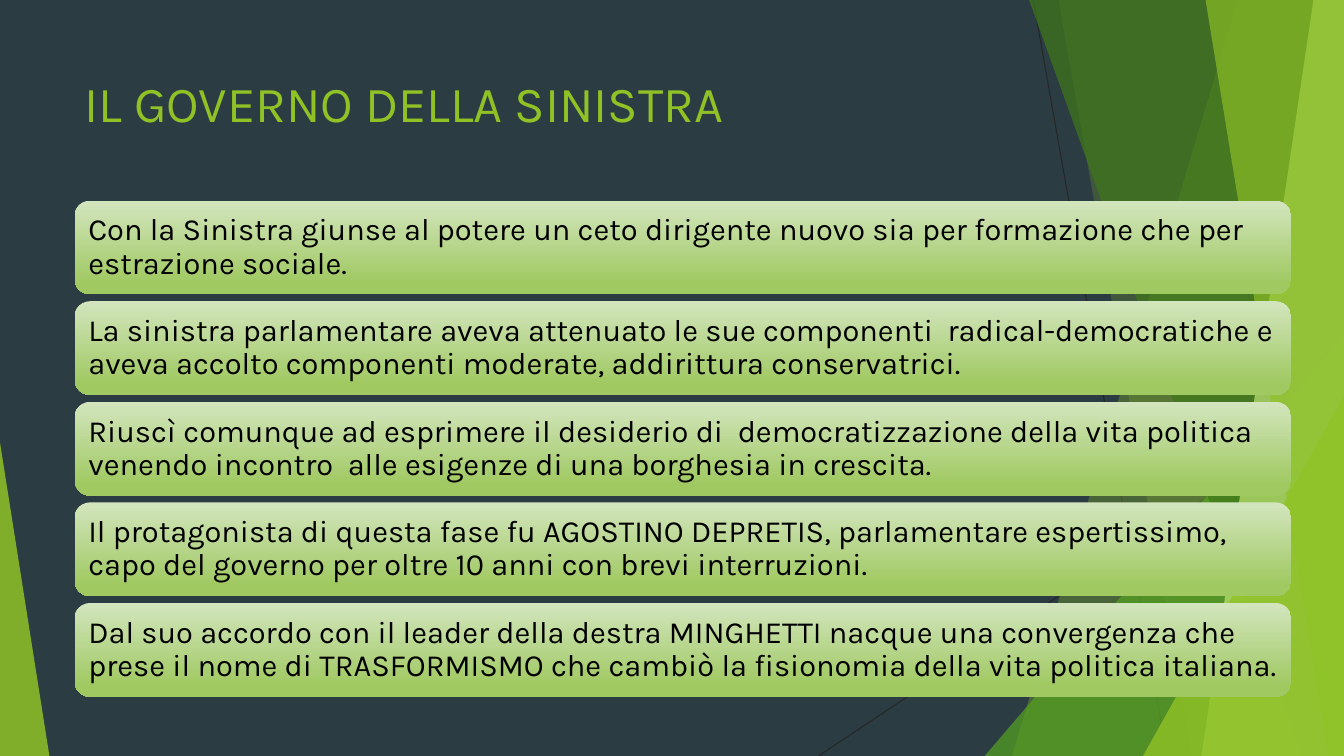
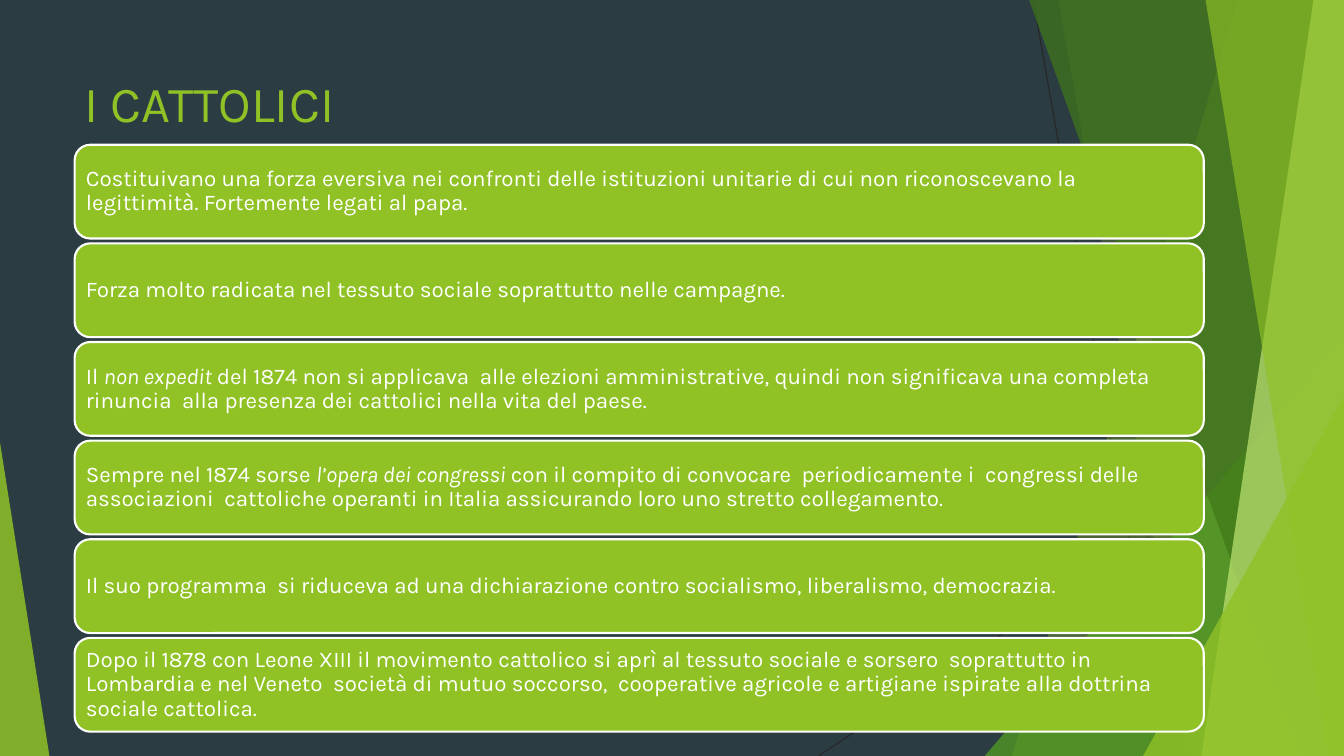
from dataclasses import dataclass

from lxml import etree
from pptx import Presentation
from pptx.dml.color import RGBColor
from pptx.enum import shapes, text
from pptx.oxml import ns
from pptx.util import Pt

WIDTH, HEIGHT = 960, 540
FONT = "Karla"
COLORS = {
    "background": "2C3C43",
    "hairline": "262626",
    "lime": "90C226",
    "green": "54A021",
    "forest": "3F7819",
    "pale": "C0E474",
    "card_top": "D3E5BE",
    "card_bottom": "A0C962",
    "white": "FFFFFF",
    "black": "000000",
}
CARD_LEFT, CARD_HEIGHT = 53.3, 67


@dataclass(frozen=True)
class Band:
    top_left: float
    bottom_left: float
    color: str
    opacity: int


@dataclass(frozen=True)
class Triangle:
    left: float
    top: float
    width: float
    apex: float
    color: str
    opacity: int


@dataclass(frozen=True)
class CardStyle:
    top: float
    pitch: float
    width: float
    text_size: int
    text_color: str
    gradient: bool


@dataclass(frozen=True)
class Page:
    title: str
    title_height: float
    style: CardStyle
    cards: tuple[str, ...]


HAIRLINES = ((738, 0, 833.8, HEIGHT), (WIDTH, 290.2, 584.6, HEIGHT))
DECORATIONS = (
    Band(884.2, 722.9, "lime", 30),
    Band(756, 851.8, "lime", 20),
    Triangle(703.4, 239.8, 256.6, 1, "green", 72),
    Band(735.1, 929.5, "forest", 70),
    Band(938.2, 858.2, "pale", 70),
    Band(861.1, 949, "lime", 65),
    Triangle(816.5, 283, 143.5, 1, "lime", 80),
    Triangle(0, 316.1, 35.3, 0, "lime", 85),
)
PAGES = (
    Page(
        "IL GOVERNO DELLA SINISTRA",
        103.7,
        CardStyle(143.3, 71.85, 869, 22, "black", True),
        (
            "Con la Sinistra giunse al potere un ceto dirigente nuovo sia per formazione che per estrazione sociale.",
            "La sinistra parlamentare aveva attenuato le sue componenti  radical-democratiche e aveva accolto componenti moderate, addirittura conservatrici.",
            "Riuscì comunque ad esprimere il desiderio di  democratizzazione della vita politica venendo incontro  alle esigenze di una borghesia in crescita.",
            "Il protagonista di questa fase fu AGOSTINO DEPRETIS, parlamentare espertissimo, capo del governo per oltre 10 anni con brevi interruzioni.",
            "Dal suo accordo con il leader della destra MINGHETTI nacque una convergenza che prese il nome di TRASFORMISMO che cambiò la fisionomia della vita politica italiana.",
        ),
    ),
    Page(
        "I CATTOLICI",
        62,
        CardStyle(103.4, 70.45, 806.6, 16, "white", False),
        (
            "Costituivano una forza eversiva nei confronti delle istituzioni unitarie di cui non riconoscevano la legittimità. Fortemente legati al papa.",
            "Forza molto radicata nel tessuto sociale soprattutto nelle campagne.",
            "Il *non expedit *del 1874 non si applicava  alle elezioni amministrative, quindi non significava una completa rinuncia  alla presenza dei cattolici nella vita del paese.",
            "Sempre nel 1874 sorse *l’opera dei congressi *con il compito di convocare  periodicamente i  congressi delle associazioni  cattoliche operanti in Italia assicurando loro uno stretto collegamento.",
            "Il suo programma  si riduceva ad una dichiarazione contro socialismo, liberalismo, democrazia.",
            "Dopo il 1878 con Leone XIII il movimento cattolico si aprì al tessuto sociale e sorsero  soprattutto in Lombardia e nel Veneto  società di mutuo soccorso,  cooperative agricole e artigiane ispirate alla dottrina sociale cattolica.",
        ),
    ),
)


def rgb(name: str) -> RGBColor:
    return RGBColor.from_string(COLORS[name])


def write(frame, content: str, *, size: float, color: str, anchor, line_spacing: float = 1.0,
          inset: float | None = None) -> None:
    frame.word_wrap = True
    frame.auto_size = text.MSO_AUTO_SIZE.NONE
    frame.vertical_anchor = anchor
    if inset is not None:
        frame.margin_left = frame.margin_right = Pt(inset)
        frame.margin_top = frame.margin_bottom = Pt(inset)
    paragraph = frame.paragraphs[0]
    paragraph.alignment = text.PP_ALIGN.LEFT
    paragraph.line_spacing = line_spacing
    for index, part in enumerate(content.split("*")):
        run = paragraph.add_run()
        run.text = part
        run.font.name = FONT
        run.font.size = Pt(size)
        run.font.italic = index % 2 == 1
        run.font.color.rgb = rgb(color)


def paint(shape, color: str, opacity: int) -> None:
    shape.shadow.inherit = False
    shape.line.fill.background()
    shape.fill.solid()
    shape.fill.fore_color.rgb = rgb(color)
    for node in shape.element.spPr.iter(ns.qn("a:srgbClr")):
        etree.SubElement(node, ns.qn("a:alpha")).set("val", str(opacity * 1000))


def add_hairline(slide, x1: float, y1: float, x2: float, y2: float) -> None:
    connector = slide.shapes.add_connector(
        shapes.MSO_CONNECTOR.STRAIGHT, Pt(x1), Pt(y1), Pt(x2), Pt(y2))
    connector.line.color.rgb = rgb("hairline")
    connector.line.width = Pt(0.75)
    etree.SubElement(connector.element.spPr, ns.qn("a:effectLst"))


def add_decoration(slide, item: Band | Triangle) -> None:
    if isinstance(item, Band):
        builder = slide.shapes.build_freeform(Pt(item.top_left), 0)
        corners = ((WIDTH, 0), (WIDTH, HEIGHT), (item.bottom_left, HEIGHT))
        builder.add_line_segments([(Pt(x), Pt(y)) for x, y in corners], close=True)
        shape = builder.convert_to_shape()
    else:
        shape = slide.shapes.add_shape(
            shapes.MSO_SHAPE.ISOSCELES_TRIANGLE, Pt(item.left), Pt(item.top),
            Pt(item.width), Pt(HEIGHT - item.top))
        shape.adjustments[0] = item.apex
    paint(shape, item.color, item.opacity)


def decorate_layout(layout, slide) -> None:
    layout.background.fill.solid()
    layout.background.fill.fore_color.rgb = rgb("background")
    for line in HAIRLINES:
        add_hairline(slide, *line)
    for item in DECORATIONS:
        add_decoration(slide, item)
    drawn = [shape for shape in slide.shapes if not shape.is_placeholder]
    for number, shape in enumerate(drawn, start=100):
        shape.element.xpath("./*/p:cNvPr")[0].set("id", str(number))
        layout.shapes.element.append(shape.element)


def add_card(slide, content: str, top: float, style: CardStyle) -> None:
    shape = slide.shapes.add_shape(
        shapes.MSO_SHAPE.ROUNDED_RECTANGLE, Pt(CARD_LEFT), Pt(top),
        Pt(style.width), Pt(CARD_HEIGHT))
    shape.shadow.inherit = False
    if style.gradient:
        shape.fill.gradient()
        shape.fill.gradient_angle = 270
        stops = ((0, "card_top"), (0.88, "card_bottom"))
        for stop, (position, color) in zip(shape.fill.gradient_stops, stops):
            stop.position = position
            stop.color.rgb = rgb(color)
        shape.line.fill.background()
    else:
        shape.fill.solid()
        shape.fill.fore_color.rgb = rgb("lime")
        shape.line.color.rgb = rgb("white")
        shape.line.width = Pt(1.5)
    write(shape.text_frame, content, size=style.text_size, color=style.text_color,
          anchor=text.MSO_ANCHOR.MIDDLE, line_spacing=0.9, inset=style.text_size * 0.3)


def fill_slide(slide, page: Page) -> None:
    title = slide.shapes.title
    title.left, title.top = Pt(CARD_LEFT), Pt(48)
    title.width, title.height = Pt(677), Pt(page.title_height)
    write(title.text_frame, page.title, size=36, color="lime", anchor=text.MSO_ANCHOR.TOP)
    for index, content in enumerate(page.cards):
        add_card(slide, content, page.style.top + index * page.style.pitch, page.style)


def main() -> None:
    presentation = Presentation()
    presentation.slide_width, presentation.slide_height = Pt(WIDTH), Pt(HEIGHT)
    layout = presentation.slide_layouts.get_by_name("Title Only")
    slides = [presentation.slides.add_slide(layout) for _ in PAGES]
    decorate_layout(layout, slides[0])
    for slide, page in zip(slides, PAGES):
        fill_slide(slide, page)
    presentation.save("out.pptx")


if __name__ == "__main__":
    main()
